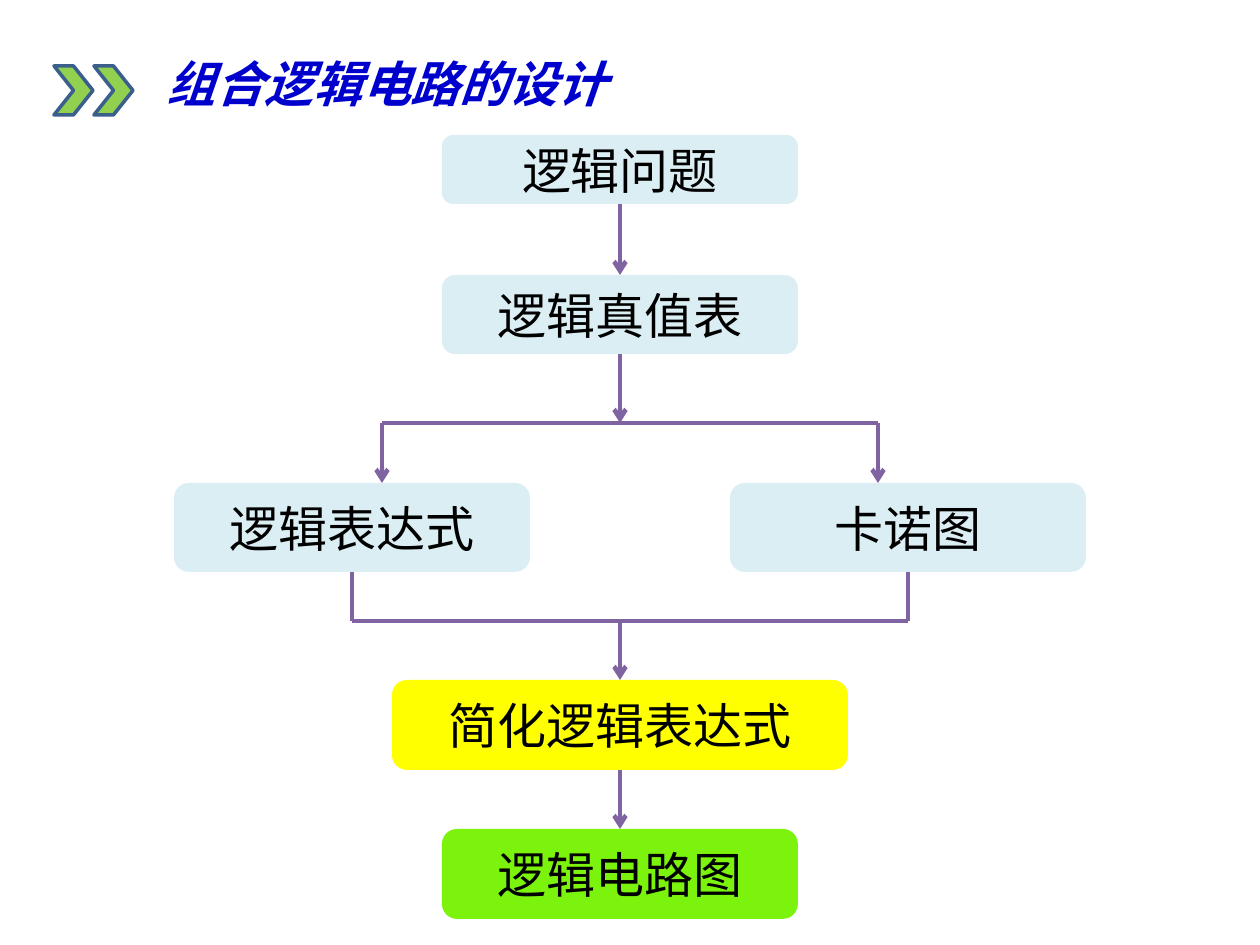
from lxml import etree
from pptx import Presentation
from pptx import util as u
from pptx.dml.color import RGBColor
from pptx.enum import shapes, text
from pptx.oxml.ns import qn

PX = u.Inches(1) // 126
FONT = "Noto Sans CJK SC"
BLACK = RGBColor(0x00, 0x00, 0x00)
BLUE = RGBColor(0x00, 0x00, 0xCC)
PALE = RGBColor(0xDB, 0xEE, 0xF4)
YELLOW = RGBColor(0xFF, 0xFF, 0x00)
LIME = RGBColor(0x7B, 0xF3, 0x0D)
LEAF = RGBColor(0x92, 0xD0, 0x50)
NAVY = RGBColor(0x3A, 0x5F, 0x8C)
PURPLE = RGBColor(0x80, 0x64, 0xA2)
TOP, BOTTOM = 0, 2


def px(*lengths):
    return [u.Emu(length * PX) for length in lengths]


def write(shape, words, size=28, color=BLACK, bold=False, italic=False,
          align=text.PP_ALIGN.CENTER, anchor=text.MSO_ANCHOR.MIDDLE):
    frame = shape.text_frame
    frame.word_wrap = True
    frame.vertical_anchor = anchor
    para = frame.paragraphs[0]
    para.alignment = align
    span = para.add_run()
    span.text = words
    font = span.font
    font.name, font.size, font.bold, font.italic = FONT, u.Pt(size), bold, italic
    font.color.rgb = color
    east_asian = etree.SubElement(font._element, qn("a:ea"))
    east_asian.set("typeface", FONT)


def add_preset(page, kind, box, fill, outline=None):
    shape = page.shapes.add_shape(kind, *px(*box))
    shape.shadow.inherit = False
    shape.fill.solid()
    shape.fill.fore_color.rgb = fill
    if outline is None:
        shape.line.fill.background()
    else:
        shape.line.color.rgb = outline
        shape.line.width = u.Pt(2)
    return shape


def add_line(page, start, end, source=None, target=None, arrow=False):
    line = page.shapes.add_connector(shapes.MSO_CONNECTOR.STRAIGHT, *px(*start, *end))
    line.line.color.rgb = PURPLE
    line.line.width = u.Pt(2.5)
    if arrow:
        etree.SubElement(line.line._get_or_add_ln(), qn("a:tailEnd"), type="arrow")
    etree.SubElement(line._element.spPr, qn("a:effectLst"))
    if source is not None:
        line.begin_connect(source, BOTTOM)
    if target is not None:
        line.end_connect(target, TOP)


def add_heading(page, box):
    left, top, width, height = box
    for offset in (0, 40):
        add_preset(page, shapes.MSO_SHAPE.CHEVRON, (left + offset, top + 19, 39, 49), LEAF, NAVY)
    title = page.shapes.add_textbox(*px(left + 100, top, width - 100, height))
    write(title, "组合逻辑电路的设计", color=BLUE, bold=True, italic=True,
          align=text.PP_ALIGN.LEFT, anchor=text.MSO_ANCHOR.TOP)


def add_flowchart(page, box):
    left, top, width, height = box
    step_width, wide_step = 356, 456
    middle = left + width // 2 - 10
    west, east = left + step_width // 2, left + width - step_width // 2
    fork, merge = top + 288, top + 486
    branch_top = top + 348

    def step(words, center, offset, tall, fill=PALE, wide=step_width):
        frame = (center - wide // 2, top + offset, wide, tall)
        shape = add_preset(page, shapes.MSO_SHAPE.ROUNDED_RECTANGLE, frame, fill)
        write(shape, words)
        return shape

    problem = step("逻辑问题", middle, 0, 69)
    truth_table = step("逻辑真值表", middle, 140, 79)
    expression = step("逻辑表达式", west, 348, 89)
    karnaugh_map = step("卡诺图", east, 348, 89)
    simplified = step("简化逻辑表达式", middle, 545, 90, YELLOW, wide_step)
    circuit = step("逻辑电路图", middle, height - 90, 90, LIME)

    for source, target in ((problem, truth_table), (simplified, circuit)):
        add_line(page, (middle, top), (middle, top), source, target, arrow=True)

    add_line(page, (middle, fork), (middle, fork), source=truth_table, arrow=True)
    fork_ends = (west + 30, east - 30)
    add_line(page, (fork_ends[0], fork), (fork_ends[1], fork))
    for x in fork_ends:
        add_line(page, (x, fork), (x, branch_top), arrow=True)

    for branch, x in ((expression, west), (karnaugh_map, east)):
        add_line(page, (x, merge), (x, merge), source=branch)
    add_line(page, (west, merge), (east, merge))
    add_line(page, (middle, merge), (middle, merge), target=simplified, arrow=True)


def main():
    deck = Presentation()
    deck.slide_width, deck.slide_height = px(1260, 945)
    page = deck.slides.add_slide(deck.slide_layouts[6])
    add_heading(page, (54, 47, 725, 89))
    add_flowchart(page, (174, 135, 912, 784))
    deck.save("out.pptx")


if __name__ == "__main__":
    main()
